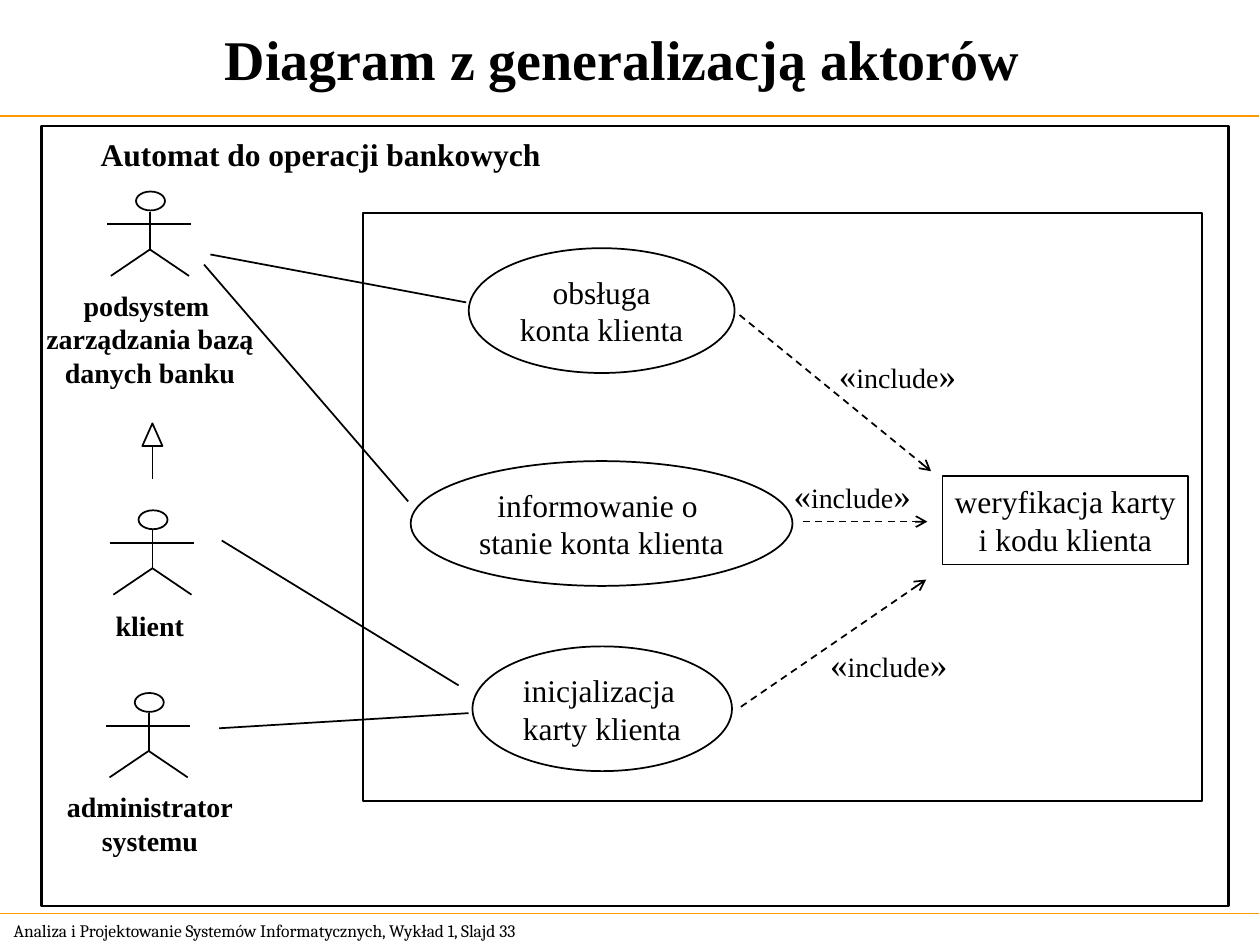
from dataclasses import dataclass

from lxml import etree
from pptx import Presentation
from pptx.dml.color import RGBColor
from pptx.enum.dml import MSO_LINE
from pptx.enum.shapes import MSO_CONNECTOR, MSO_SHAPE
from pptx.enum.text import MSO_ANCHOR, MSO_AUTO_SIZE, PP_ALIGN
from pptx.oxml.ns import qn
from pptx.util import Inches, Pt

STRAIGHT = MSO_CONNECTOR.STRAIGHT
DASH = MSO_LINE.DASH
OVAL = MSO_SHAPE.OVAL
RECTANGLE = MSO_SHAPE.RECTANGLE
TRIANGLE = MSO_SHAPE.ISOSCELES_TRIANGLE
TOP, MIDDLE = MSO_ANCHOR.TOP, MSO_ANCHOR.MIDDLE
LEFT, CENTER = PP_ALIGN.LEFT, PP_ALIGN.CENTER
FIXED_SIZE = MSO_AUTO_SIZE.NONE

COLORS = {"ink": "000000", "rule": "FF9900", "paper": "FFFFFF"}
SERIF = "Times New Roman"


@dataclass(frozen=True)
class Box:
    left: float
    top: float
    width: float
    height: float

    def lengths(self) -> list:
        return [Inches(v) for v in (self.left, self.top, self.width, self.height)]


@dataclass(frozen=True)
class Node:
    kind: int
    box: Box
    text: str
    align: int = CENTER


@dataclass(frozen=True)
class Link:
    x1: float
    y1: float
    x2: float
    y2: float


@dataclass(frozen=True)
class Actor:
    center: float
    top: float
    label: str
    label_box: Box
    align: int = CENTER


USE_CASES = [
    Node(OVAL, Box(3.72, 1.97, 2.11, 0.99), "obsługa\nkonta klienta"),
    Node(OVAL, Box(3.26, 3.66, 3.03, 0.99), "informowanie o \nstanie konta klienta"),
    Node(OVAL, Box(3.75, 5.13, 2.06, 0.99), "inicjalizacja\nkarty klienta", LEFT),
    Node(RECTANGLE, Box(7.48, 3.78, 1.95, 0.7), "weryfikacja karty\ni kodu klienta"),
]
ASSOCIATIONS = [
    Link(1.67, 2.02, 3.7, 2.4),
    Link(1.62, 2.1, 3.24, 3.98),
    Link(1.74, 5.78, 3.72, 5.66),
    Link(1.76, 4.29, 3.64, 5.44),
]
INCLUDES = [
    (Link(5.88, 5.61, 7.35, 4.6), Box(6.49, 5.05, 1.13, 0.44)),
    (Link(6.37, 4.14, 7.36, 4.14), Box(6.2, 3.71, 1.13, 0.44)),
    (Link(5.87, 2.5, 7.39, 3.74), Box(6.56, 2.76, 1.13, 0.44)),
]
ACTORS = [
    Actor(1.19, 1.52, "podsystem \nzarządzania bazą\ndanych banku",
          Box(0.27, 2.24, 1.84, 0.9)),
    Actor(1.21, 4.05, "klient", Box(0.82, 4.78, 0.74, 0.36), LEFT),
    Actor(1.18, 5.5, "administrator\nsystemu", Box(0.43, 6.22, 1.52, 0.63)),
]


def color(name: str) -> RGBColor:
    return RGBColor.from_string(COLORS[name])


def write(shape, text: str, size: float, bold: bool = False, align: int = LEFT,
          anchor: int = TOP, font: str = SERIF, wrap: bool = False) -> None:
    frame = shape.text_frame
    frame.text = text
    frame.word_wrap = wrap
    frame.auto_size = FIXED_SIZE
    frame.vertical_anchor = anchor
    if align == CENTER:
        frame.margin_left = frame.margin_right = Inches(0.02)
    for paragraph in frame.paragraphs:
        paragraph.alignment = align
        for run in paragraph.runs:
            run.font.name = font
            run.font.size = Pt(size)
            run.font.bold = bold
            run.font.color.rgb = color("ink")


def add_label(slide, box: Box, text: str, size: float, **style):
    label = slide.shapes.add_textbox(*box.lengths())
    write(label, text, size, **style)
    return label


def add_outline(slide, kind: int, box: Box, weight: float = 1, fill: str = ""):
    outline = slide.shapes.add_shape(kind, *box.lengths())
    outline.shadow.inherit = False
    if fill:
        outline.fill.solid()
        outline.fill.fore_color.rgb = color(fill)
    else:
        outline.fill.background()
    outline.line.color.rgb = color("ink")
    outline.line.width = Pt(weight)
    return outline


def add_line(slide, link: Link, ink: str = "ink", weight: float = 1,
             include: bool = False) -> None:
    ends = [Inches(v) for v in (link.x1, link.y1, link.x2, link.y2)]
    connector = slide.shapes.add_connector(STRAIGHT, *ends)
    connector.line.color.rgb = color(ink)
    connector.line.width = Pt(weight)
    if include:
        connector.line.dash_style = DASH
        arrow = etree.SubElement(connector.line._get_or_add_ln(), qn("a:tailEnd"))
        arrow.set("type", "arrow")
    etree.SubElement(connector._element.spPr, qn("a:effectLst"))


def add_include(slide, link: Link, box: Box) -> None:
    add_line(slide, link, include=True)
    label = add_label(slide, box, "«", 20)
    paragraph = label.text_frame.paragraphs[0]
    for text, size in (("include", 16), ("»", 20)):
        run = paragraph.add_run()
        run.text = text
        run.font.name = SERIF
        run.font.size = Pt(size)
        run.font.color.rgb = color("ink")


def add_actor(slide, actor: Actor) -> None:
    x, y = actor.center, actor.top
    add_label(slide, actor.label_box, actor.label, 16, bold=True, align=actor.align)
    add_outline(slide, OVAL, Box(x - 0.11, y, 0.23, 0.15))
    add_line(slide, Link(x, y + 0.16, x, y + 0.47))
    add_line(slide, Link(x - 0.34, y + 0.26, x + 0.33, y + 0.26))
    for foot in (0.31, -0.31):
        add_line(slide, Link(x, y + 0.46, x + foot, y + 0.67))


def main() -> None:
    deck = Presentation()
    deck.slide_width, deck.slide_height = Inches(10), Inches(7.5)
    slide = deck.slides.add_slide(deck.slide_layouts[6])

    add_label(slide, Box(0.01, 7.25, 4.75, 0.27),
              "Analiza i Projektowanie Systemów Informatycznych, Wykład 1, Slajd 33",
              10, anchor=MIDDLE, font="Cambria")
    for y in (0.92, 7.25):
        add_line(slide, Link(-0.01, y, 9.99, y), "rule", 0.75)
    add_label(slide, Box(0, 0, 9.99, 0.92), "Diagram z generalizacją aktorów ", 32,
              bold=True, align=CENTER, anchor=MIDDLE, wrap=True)

    add_outline(slide, RECTANGLE, Box(0.33, 1, 9.42, 6.19), 1.5)
    add_outline(slide, RECTANGLE, Box(2.88, 1.69, 6.66, 4.67))
    for node in USE_CASES:
        write(add_outline(slide, node.kind, node.box), node.text, 18, align=node.align)
    add_label(slide, Box(0.7, 1.02, 3.69, 0.4), "Automat do operacji bankowych", 18,
              bold=True)

    for association in ASSOCIATIONS:
        add_line(slide, association)
    for link, box in INCLUDES:
        add_include(slide, link, box)
    for actor in ACTORS:
        add_actor(slide, actor)

    add_outline(slide, TRIANGLE, Box(1.13, 3.36, 0.16, 0.18), fill="paper")
    add_line(slide, Link(1.21, 3.54, 1.21, 3.8))

    deck.save("out.pptx")


if __name__ == "__main__":
    main()
